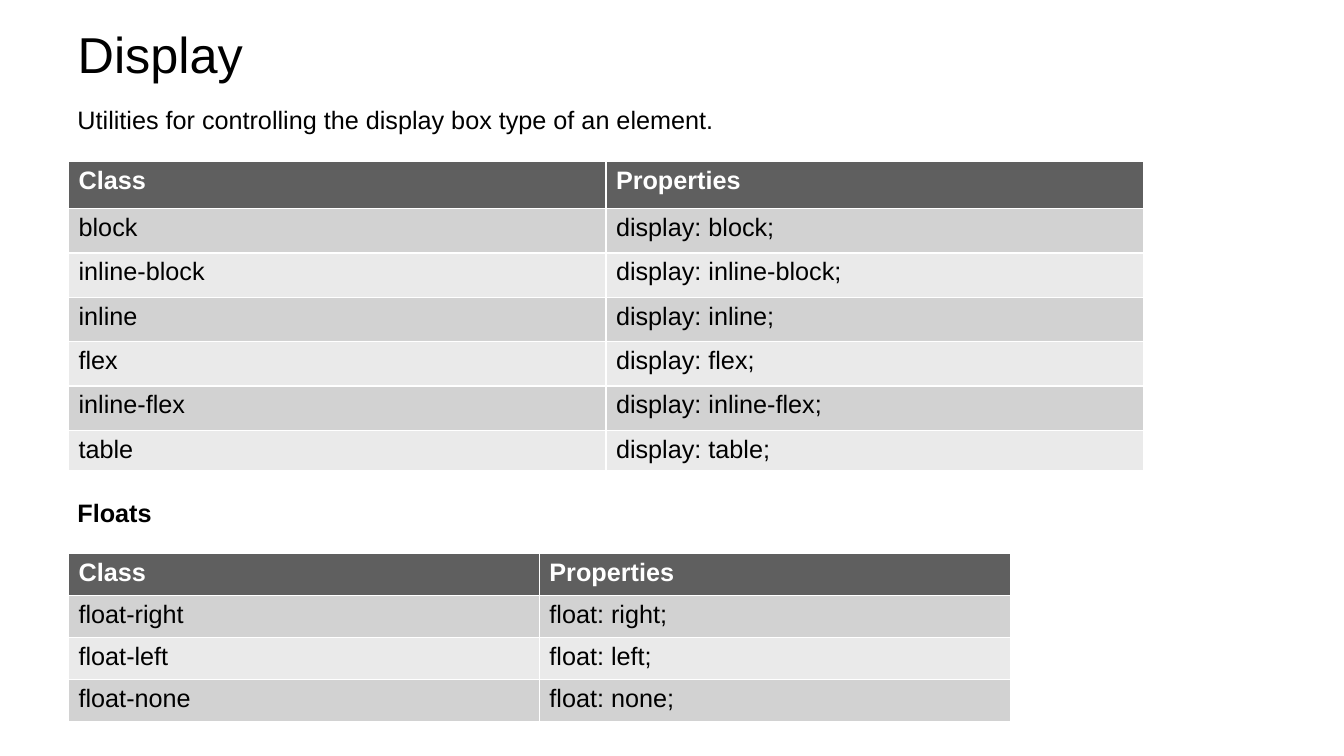
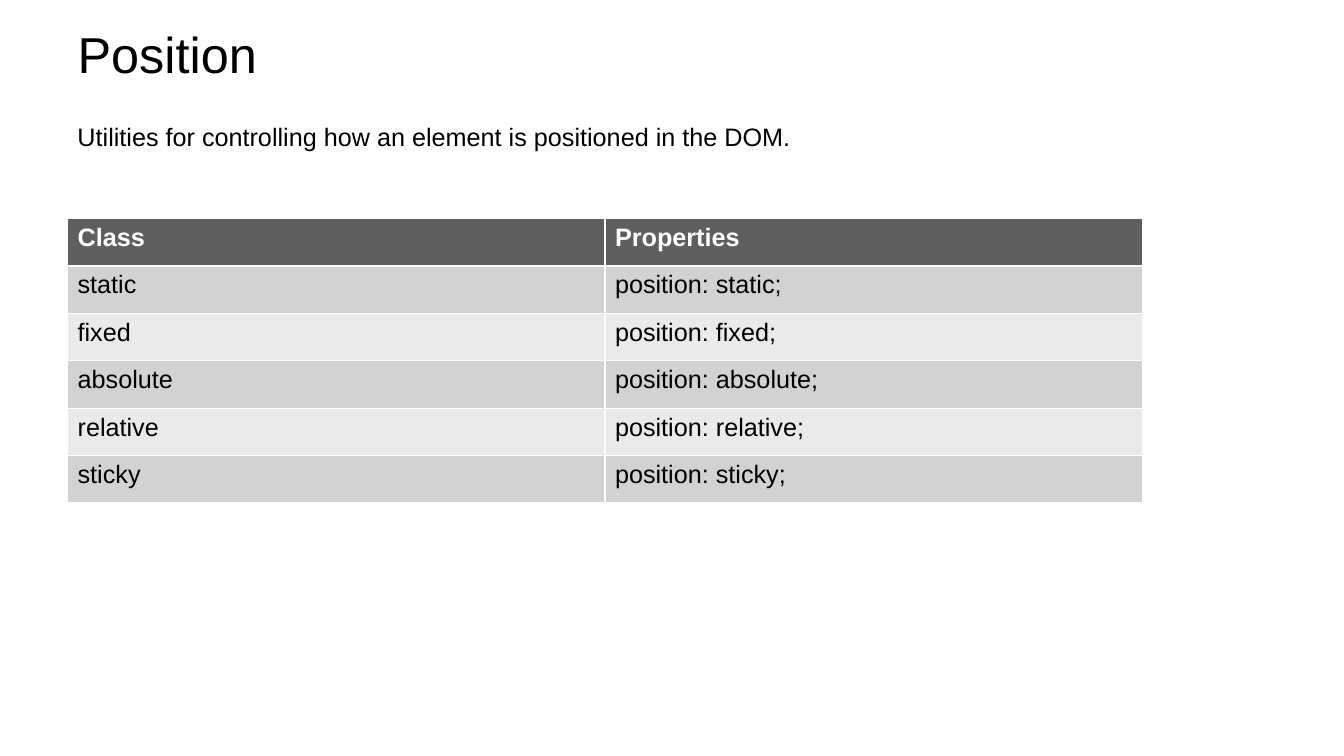
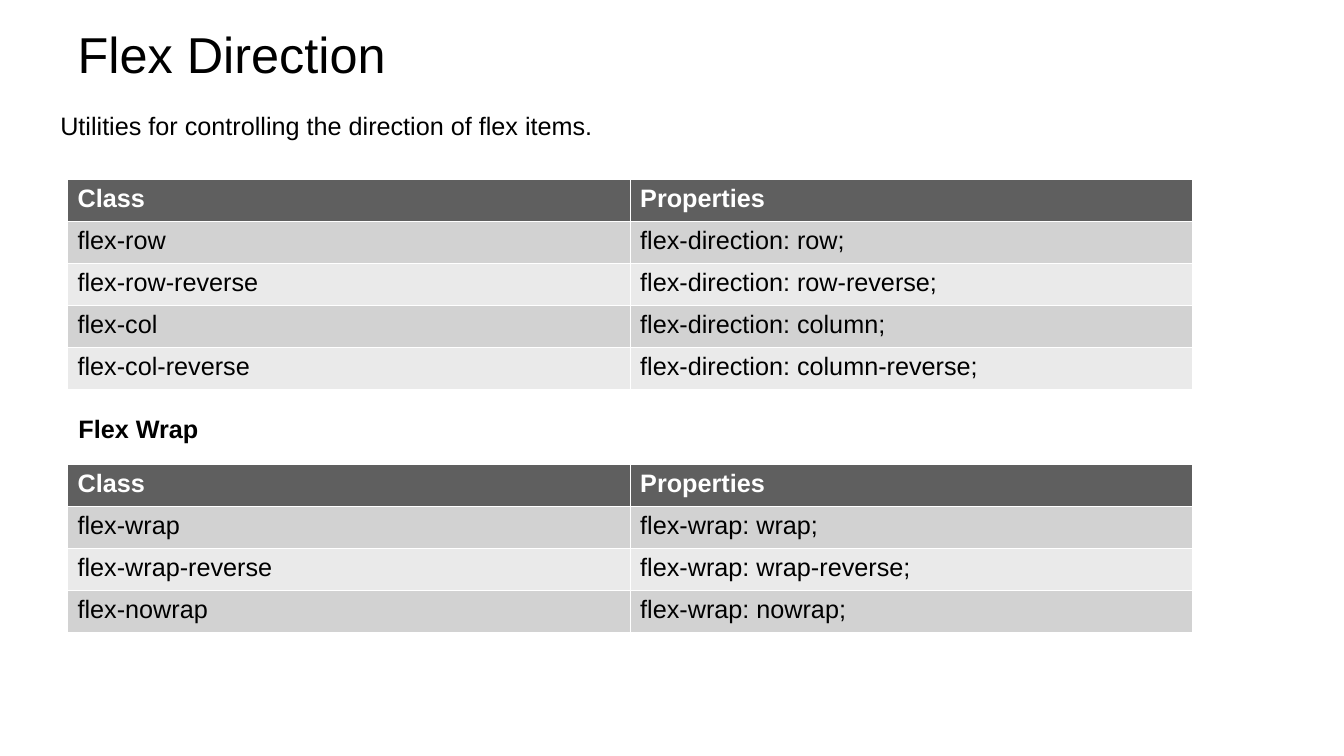
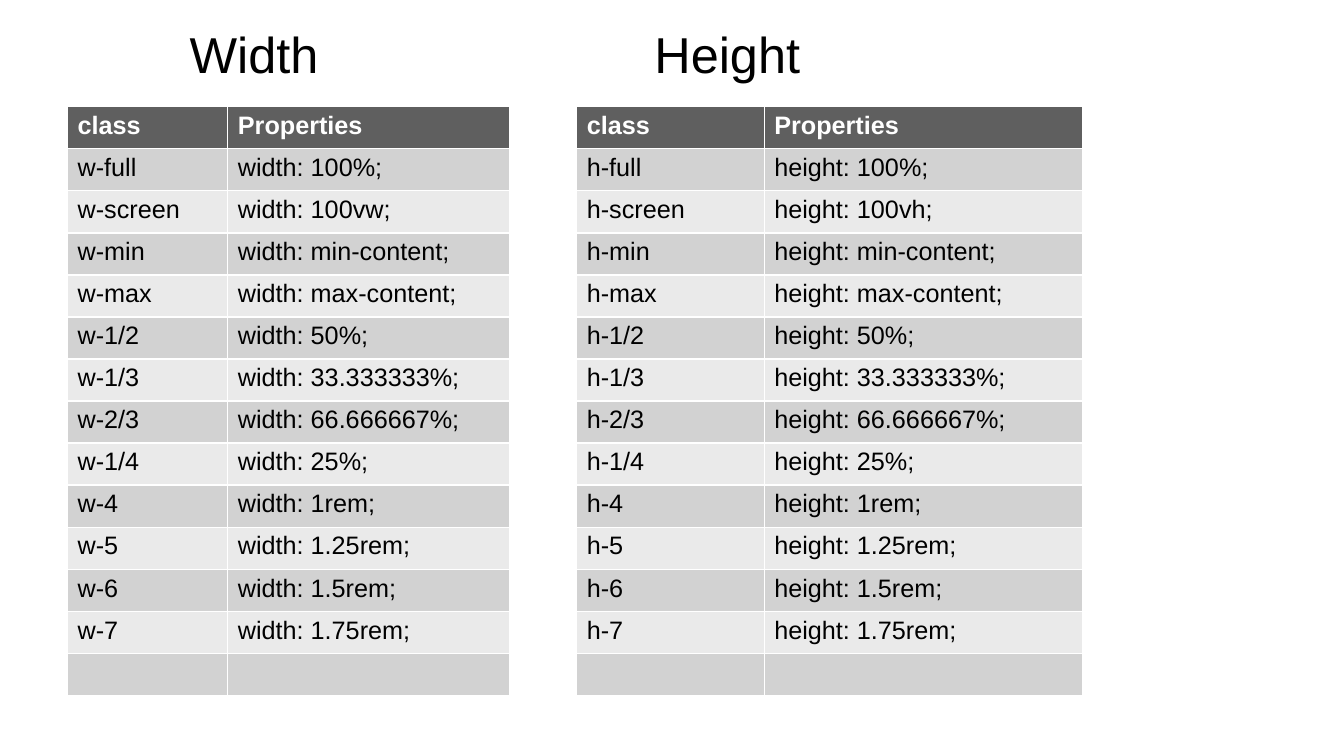
import dataclasses

import lxml.etree
import pptx
import pptx.dml.color
import pptx.enum.text
import pptx.oxml.ns
import pptx.util

Inches = pptx.util.Inches


def rgb(value):
    return pptx.dml.color.RGBColor.from_string(value)


@dataclasses.dataclass(frozen=True)
class Theme:
    font: str = "Arial"
    title_size: int = 36
    text_size: int = 18
    text: str = "000000"
    header_text: str = "FFFFFF"
    header_fill: str = "5F5F5F"
    bands: tuple = ("D2D2D2", "EAEAEA")


THEME = Theme()
LEFT = 0.67
ROW = 0.417
TALL_ROW = 0.47
SIZES = [
    ("full", "100%"), ("screen", None), ("min", "min-content"),
    ("max", "max-content"), ("1/2", "50%"), ("1/3", "33.333333%"),
    ("2/3", "66.666667%"), ("1/4", "25%"), ("4", "1rem"),
    ("5", "1.25rem"), ("6", "1.5rem"), ("7", "1.75rem"),
]


def style_paragraph(paragraph, size=THEME.text_size, color=THEME.text, bold=False):
    paragraph.alignment = pptx.enum.text.PP_ALIGN.LEFT
    font = paragraph.font
    font.name = THEME.font
    font.size = pptx.util.Pt(size)
    font.bold = bold
    font.color.rgb = rgb(color)


def prepare_layout(deck):
    """Place the title once, for every slide of the Title Only layout."""
    layout = deck.slide_layouts.get_by_name("Title Only")
    title = layout.placeholders[0]
    title.left, title.top = Inches(LEFT), Inches(0.21)
    title.width, title.height = Inches(12), Inches(0.64)
    title.text_frame.vertical_anchor = pptx.enum.text.MSO_ANCHOR.MIDDLE
    return layout


def add_titled_slide(deck, layout, heading):
    slide = deck.slides.add_slide(layout)
    slide.shapes.title.text_frame.text = heading
    style_paragraph(slide.shapes.title.text_frame.paragraphs[0], THEME.title_size)
    return slide


def set_tab_stops(paragraph, positions):
    properties = paragraph.font._element.getparent()
    tab_list = lxml.etree.Element(pptx.oxml.ns.qn("a:tabLst"))
    for position in positions:
        lxml.etree.SubElement(tab_list, pptx.oxml.ns.qn("a:tab"),
                              pos=str(Inches(position)), algn="l")
    properties.insert(0, tab_list)


def add_caption(slide, caption, left, top, width, bold=False):
    box = slide.shapes.add_textbox(
        Inches(left), Inches(top), Inches(width), Inches(0.4))
    box.text_frame.word_wrap = True
    box.text_frame.text = caption
    style_paragraph(box.text_frame.paragraphs[0], bold=bold)


def add_class_table(slide, left, top, columns, heights, rows, class_label="Class"):
    """Add a two-column table of class names and the CSS they stand for."""
    entries = [(class_label, "Properties"), *rows]
    table = slide.shapes.add_table(
        len(entries), len(columns), Inches(left), Inches(top),
        Inches(sum(columns)), Inches(sum(heights))).table
    for column, width in zip(table.columns, columns):
        column.width = Inches(width)
    for index, (entry, height) in enumerate(zip(entries, heights)):
        table.rows[index].height = Inches(height)
        header = index == 0
        fill = THEME.header_fill if header else THEME.bands[(index - 1) % 2]
        color = THEME.header_text if header else THEME.text
        for cell, content in zip(table.rows[index].cells, entry):
            cell.fill.solid()
            cell.fill.fore_color.rgb = rgb(fill)
            cell.text_frame.text = content
            style_paragraph(cell.text_frame.paragraphs[0], color=color, bold=header)


def declarations(name, pairs):
    return [(label, f"{name}: {value};") for label, value in pairs]


def same_names(name, values, prefix=""):
    return declarations(name, [(prefix + value, value) for value in values])


def size_rows(name, screen_value):
    sizes = [(f"{name[0]}-{label}", value or screen_value) for label, value in SIZES]
    return declarations(name, sizes) + [("", "")]


def add_display_slide(deck, layout):
    slide = add_titled_slide(deck, layout, "Display")
    add_caption(slide, "Utilities for controlling the display box type of an element.",
                LEFT, 0.99, 9.55)
    displays = ["block", "inline-block", "inline", "flex", "inline-flex", "table"]
    add_class_table(slide, 0.68, 1.6, [5.33] * 2, [TALL_ROW] + [0.44] * 5 + [0.4],
                    same_names("display", displays))
    add_caption(slide, "Floats", LEFT, 4.88, 8.95, bold=True)
    add_class_table(slide, 0.68, 5.49, [4.67] * 2, [ROW] * 4,
                    same_names("float", ["right", "left", "none"], "float-"))


def add_position_slide(deck, layout):
    slide = add_titled_slide(deck, layout, "Position")
    add_caption(slide,
                "Utilities for controlling how an element is positioned in the DOM.",
                LEFT, 1.15, 9.95)
    positions = ["static", "fixed", "absolute", "relative", "sticky"]
    add_class_table(slide, LEFT, 2.17, [5.33] * 2, [TALL_ROW] * 6,
                    same_names("position", positions))


def add_flex_slide(deck, layout):
    slide = add_titled_slide(deck, layout, "Flex Direction")
    add_caption(slide, "Utilities for controlling the direction of flex items.",
                0.5, 1.05, 10.14)
    directions = [("flex-row", "row"), ("flex-row-reverse", "row-reverse"),
                  ("flex-col", "column"), ("flex-col-reverse", "column-reverse")]
    columns = [5.58] * 2
    add_class_table(slide, LEFT, 1.78, columns, [ROW] * 5,
                    declarations("flex-direction", directions))
    add_caption(slide, "Flex Wrap", 0.68, 4.05, 10.9, bold=True)
    add_class_table(slide, LEFT, 4.61, columns, [ROW] * 4,
                    same_names("flex-wrap", ["wrap", "wrap-reverse", "nowrap"], "flex-"))


def add_size_slide(deck, layout):
    slide = add_titled_slide(deck, layout, "\tWidth\tHeight")
    set_tab_stops(slide.shapes.title.text_frame.paragraphs[0], [1.11, 5.72])
    for left, columns, name, screen_value in [
        (LEFT, [1.59, 2.79], "width", "100vw"),
        (5.72, [1.86, 3.16], "height", "100vh"),
    ]:
        rows = size_rows(name, screen_value)
        add_class_table(slide, left, 1.06, columns, [ROW] * (len(rows) + 1), rows,
                        class_label="class")


def main():
    deck = pptx.Presentation()
    deck.slide_width, deck.slide_height = Inches(13.33), Inches(7.5)
    layout = prepare_layout(deck)
    add_display_slide(deck, layout)
    add_position_slide(deck, layout)
    add_flex_slide(deck, layout)
    add_size_slide(deck, layout)
    deck.save("out.pptx")


if __name__ == "__main__":
    main()
